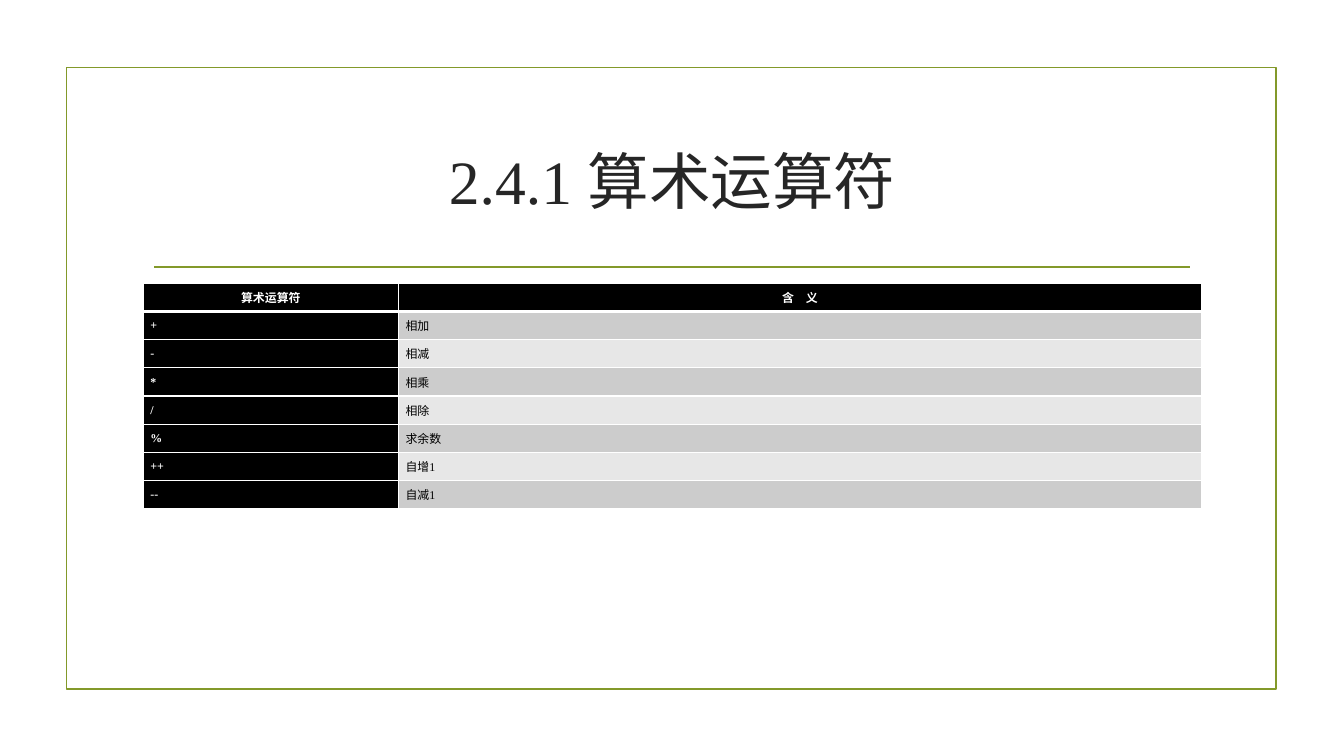
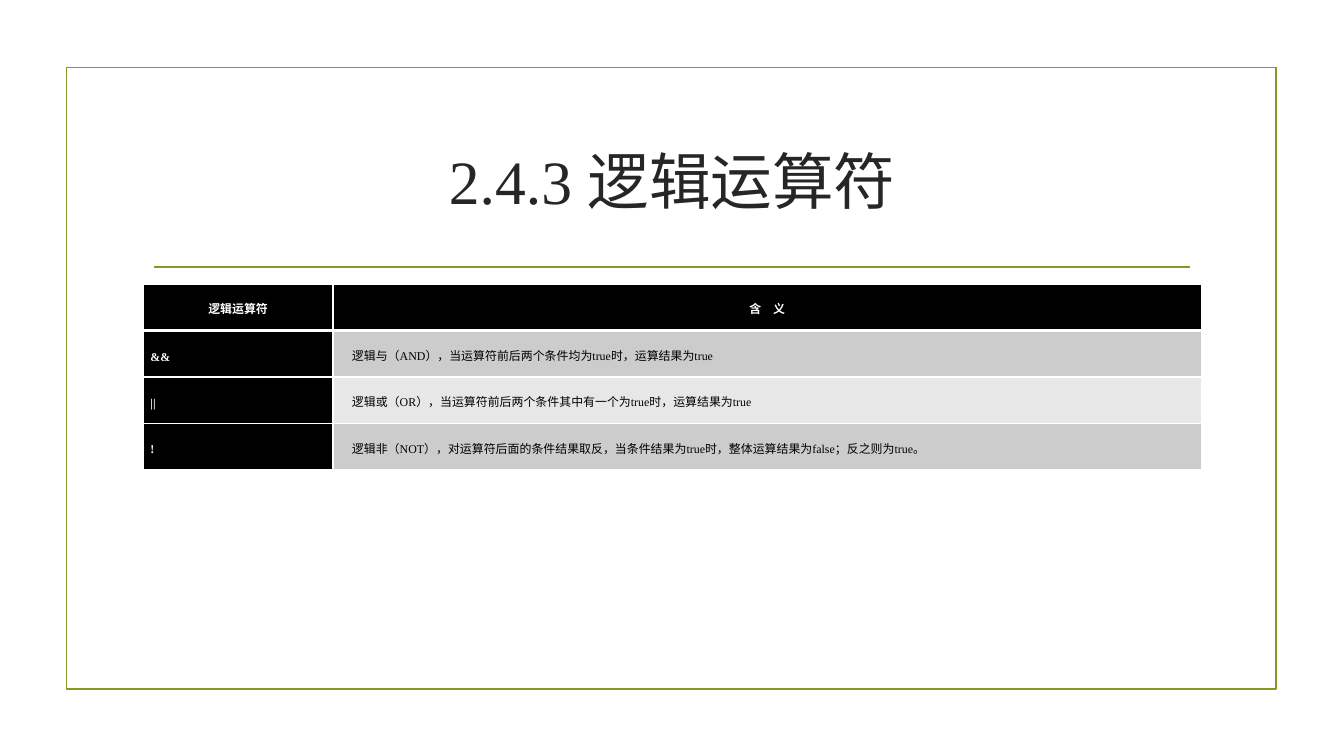
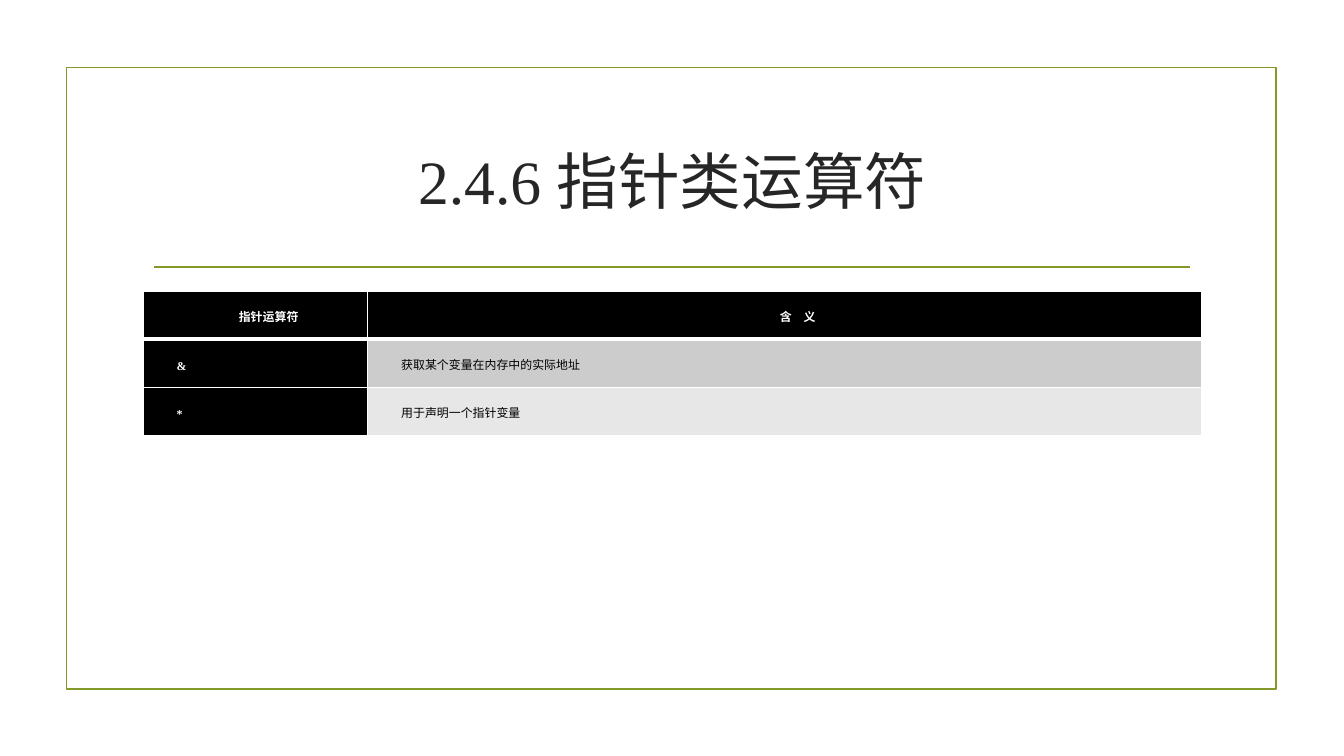
from dataclasses import dataclass

from lxml import etree
from pptx import Presentation
from pptx.dml.color import RGBColor
from pptx.enum.shapes import MSO_CONNECTOR, MSO_SHAPE
from pptx.enum.text import MSO_ANCHOR, PP_ALIGN
from pptx.oxml.ns import qn
from pptx.util import Cm, Pt

RECTANGLE = MSO_SHAPE.RECTANGLE
STRAIGHT = MSO_CONNECTOR.STRAIGHT
MIDDLE = MSO_ANCHOR.MIDDLE
CENTER = PP_ALIGN.CENTER
JUSTIFY = PP_ALIGN.JUSTIFY

COLORS = {
    "page": "FFFFFF",
    "accent": "83992A",
    "title": "262626",
    "key": "000000",
    "key_text": "FFFFFF",
    "body_text": "000000",
    "band_dark": "CCCCCC",
    "band_light": "E7E7E7",
    "border": "FFFFFF",
}
FONT = "Times New Roman"
FRAME_BOX = (1.68, 1.7, 30.48, 15.67)
CONTENT_LEFT = 3.61
CONTENT_WIDTH = 26.67
TITLE_BOX = (CONTENT_LEFT, 2.72, CONTENT_WIDTH, 3.63)
RULE_INSET = 0.28
RULE_TOP = 6.73
THIN, THICK = 1, 3


@dataclass
class OperatorPage:
    title: str
    header: str
    rows: list
    top: float
    key_width: float
    row_height: float
    key_indent: float = 0
    meaning_indent: float = 0
    line_spacing: float = 0


PAGES = [
    OperatorPage(
        "2.4.1 算术运算符", "算术运算符",
        [("+", "相加"), ("-", "相减"), ("*", "相乘"), ("/", "相除"),
         ("%", "求余数"), ("++", "自增1"), ("--", "自减1")],
        top=7.14, key_width=6.43, row_height=0.71),
    OperatorPage(
        "2.4.3 逻辑运算符", "逻辑运算符",
        [("&&", "逻辑与（AND），当运算符前后两个条件均为true时，运算结果为true"),
         ("||", "逻辑或（OR），当运算符前后两个条件其中有一个为true时，运算结果为true"),
         ("!", "逻辑非（NOT），对运算符后面的条件结果取反，当条件结果为true时，"
               "整体运算结果为false；反之则为true。")],
        top=7.16, key_width=4.78, row_height=1.17,
        meaning_indent=0.3, line_spacing=14),
    OperatorPage(
        "2.4.6 指针类运算符", "指针运算符",
        [("&", "获取某个变量在内存中的实际地址"), ("*", "用于声明一个指针变量")],
        top=7.34, key_width=5.66, row_height=1.21,
        key_indent=0.66, meaning_indent=0.66, line_spacing=14),
]


def color(name):
    return RGBColor.from_string(COLORS[name])


def add_span(para, text, size, color_name, bold=False):
    span = para.add_run()
    span.text = text
    span.font.name = FONT
    span.font.size = Pt(size)
    span.font.bold = bold
    span.font.color.rgb = color(color_name)


def add_frame(page, box):
    frame = page.shapes.add_shape(RECTANGLE, *map(Cm, box))
    frame.shadow.inherit = False
    frame.fill.background()
    frame.line.color.rgb = color("accent")
    frame.line.width = Pt(1.25)


def add_rule(page, left, top, width):
    rule = page.shapes.add_connector(
        STRAIGHT, Cm(left), Cm(top), Cm(left + width), Cm(top))
    rule.line.color.rgb = color("accent")
    rule.line.width = Pt(1.25)
    etree.SubElement(rule._element.spPr, qn("a:effectLst"))


def add_title(page, box, text):
    frame = page.shapes.add_textbox(*map(Cm, box)).text_frame
    frame.word_wrap = True
    frame.vertical_anchor = MIDDLE
    para = frame.paragraphs[0]
    para.alignment = CENTER
    add_span(para, text, 44, "title")


def set_borders(cell, top, bottom):
    properties = cell._tc.get_or_add_tcPr()
    sides = {"a:lnL": THIN, "a:lnR": THIN, "a:lnT": top, "a:lnB": bottom}
    for tag, width in sides.items():
        line = etree.SubElement(properties, qn(tag), w=str(Pt(width)))
        fill = etree.SubElement(line, qn("a:solidFill"))
        etree.SubElement(fill, qn("a:srgbClr"), val=COLORS["border"])


def fill_cell(cell, text, fill_name, text_name, alignment, indent, line_spacing):
    cell.margin_left = cell.margin_right = Cm(0.18)
    cell.margin_top = cell.margin_bottom = 0
    cell.vertical_anchor = MIDDLE
    cell.fill.solid()
    cell.fill.fore_color.rgb = color(fill_name)
    para = cell.text_frame.paragraphs[0]
    para.alignment = alignment
    if line_spacing:
        para.line_spacing = Pt(line_spacing)
    if indent:
        para._p.get_or_add_pPr().set("indent", str(Cm(indent)))
    add_span(para, text, 8.5, text_name, bold=text_name == "key_text")


def add_operator_table(page, left, width, content):
    entries = [(content.header, "含　义"), *content.rows]
    table = page.shapes.add_table(
        len(entries), 2, Cm(left), Cm(content.top), Cm(width),
        Cm(content.row_height * len(entries))).table
    table.first_row = table.horz_banding = False
    table.columns[0].width = Cm(content.key_width)
    table.columns[1].width = Cm(width - content.key_width)
    indents = (content.key_indent, content.meaning_indent)
    for row, entry in enumerate(entries):
        table.rows[row].height = Cm(content.row_height)
        for column, text in enumerate(entry):
            cell = table.cell(row, column)
            is_key = row == 0 or column == 0
            band = "band_dark" if row % 2 else "band_light"
            set_borders(cell, THICK if row == 1 else THIN,
                        THICK if row == 0 else THIN)
            fill_cell(
                cell, text,
                "key" if is_key else band,
                "key_text" if is_key else "body_text",
                JUSTIFY if row else CENTER,
                indents[column] if row else content.key_indent,
                content.line_spacing)


def add_operator_page(deck, content):
    page = deck.slides.add_slide(deck.slide_layouts[6])
    page.background.fill.solid()
    page.background.fill.fore_color.rgb = color("page")
    add_frame(page, FRAME_BOX)
    add_rule(page, CONTENT_LEFT + RULE_INSET, RULE_TOP,
             CONTENT_WIDTH - 2 * RULE_INSET)
    add_title(page, TITLE_BOX, content.title)
    add_operator_table(page, CONTENT_LEFT, CONTENT_WIDTH, content)


def main():
    deck = Presentation()
    deck.slide_width = Cm(33.87)
    deck.slide_height = Cm(19.05)
    for content in PAGES:
        add_operator_page(deck, content)
    deck.save("out.pptx")


if __name__ == "__main__":
    main()
